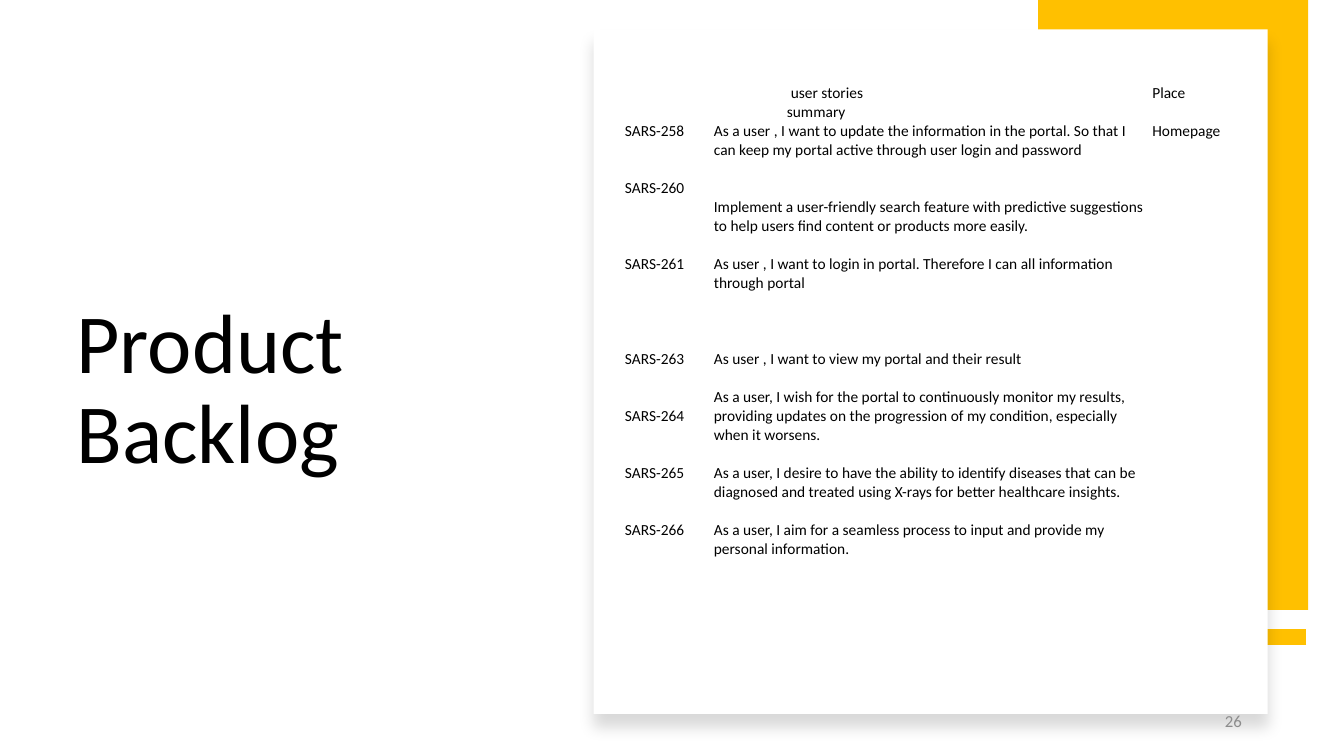
import pptx
import pptx.util
import pptx.oxml
import pptx.dml.color
import pptx.enum.shapes
import pptx.enum.text
from lxml import etree

Cm, Pt = pptx.util.Cm, pptx.util.Pt
ALIGN, ANCHOR = pptx.enum.text.PP_ALIGN, pptx.enum.text.MSO_ANCHOR
HUES = {"gold": "FFC000", "white": "FFFFFF", "black": "000000", "gray": "8C8C8C"}
NS = "http://schemas.openxmlformats.org/drawingml/2006/main"


def hue(name):
    return pptx.dml.color.RGBColor.from_string(HUES[name])


def style(para, size, name):
    para.font.name = "Calibri"
    para.font.size = Pt(size)
    para.font.color.rgb = hue(name)


deck = pptx.Presentation()
deck.slide_width, deck.slide_height = Cm(33.87), Cm(19.05)
slide = deck.slides.add_slide(deck.slide_layouts[6])
shapes = slide.shapes

# Gold line behind the card
line = shapes.add_connector(pptx.enum.shapes.MSO_CONNECTOR.STRAIGHT,
                            Cm(32.92), Cm(16.05), Cm(26.16), Cm(16.05))
line.line.color.rgb = hue("gold")
line.line.width = Pt(12)
etree.SubElement(line._element.spPr, f"{{{NS}}}effectLst")

# Gold panel and white card
for name, x, y, w, h in [("gold", 26.16, 0, 6.81, 15.37),
                         ("white", 14.96, 0.74, 16.99, 17.25)]:
    card = shapes.add_shape(pptx.enum.shapes.MSO_SHAPE.RECTANGLE,
                            Cm(x), Cm(y), Cm(w), Cm(h))
    card.shadow.inherit = False
    card.fill.solid()
    card.fill.fore_color.rgb = hue(name)
    card.line.fill.background()

# Soft shadow below the card
glow = card._element.spPr.find(f"{{{NS}}}effectLst")
glow.append(pptx.oxml.parse_xml(
    f'<a:outerShdw xmlns:a="{NS}" blurRad="{Pt(11)}" dist="{Pt(10)}" dir="5400000" '
    f'algn="t" rotWithShape="0"><a:srgbClr val="{HUES["black"]}">'
    '<a:alpha val="15000"/></a:srgbClr></a:outerShdw>'))

# Title and page number
for text, x, y, w, h, size, name, side, base in [
        ("Product Backlog", 1.68, 1.88, 11.58, 10.39, 60, "black", ALIGN.LEFT, ANCHOR.BOTTOM),
        ("26", 23.93, 17.65, 7.62, 1.02, 12, "gray", ALIGN.RIGHT, ANCHOR.MIDDLE)]:
    frame = shapes.add_textbox(Cm(x), Cm(y), Cm(w), Cm(h)).text_frame
    frame.word_wrap = True
    frame.vertical_anchor = base
    para = frame.paragraphs[0]
    para.text = text
    para.alignment = side
    para.line_spacing = 0.9 if size == 60 else 1.0
    style(para, size, name)

# Backlog columns: width, top margin, then (lines skipped, indent, text)
STEP = 13.6
cols = [
    (2.24, 1.16, [(0, 0, "SARS-258"), (2, 0, "SARS-260"), (3, 0, "SARS-261"),
                  (4, 0, "SARS-263"), (2, 0, "SARS-264"), (2, 0, "SARS-265"),
                  (2, 0, "SARS-266")]),
    (11.05, 0.2, [
        (0, 1.94, "user stories"),
        (0, 1.84, "summary"),
        (0, 0, "As a user , I want to update the information in the portal. So that I can "
               "keep my portal active through user login and password"),
        (2, 0, "Implement a user-friendly search feature with predictive suggestions to "
               "help users find content or products more easily."),
        (1, 0, "As user , I want to login in portal. Therefore I can all information "
               "through portal"),
        (3, 0, "As user , I want to view my portal and their result"),
        (1, 0, "As a user, I wish for the portal to continuously monitor my results, "
               "providing updates on the progression of my condition, especially when it "
               "worsens."),
        (1, 0, "As a user, I desire to have the ability to identify diseases that can be "
               "diagnosed and treated using X-rays for better healthcare insights."),
        (1, 0, "As a user, I aim for a seamless process to input and provide my personal "
               "information.")]),
    (2.31, 0.2, [(0, 0, "Place"), (1, 0, "Homepage")]),
]
table = shapes.add_table(1, len(cols), Cm(15.67), Cm(1.9), Cm(15.6), Cm(14.91)).table
table.first_row = table.horz_banding = False
for i, (width, top, items) in enumerate(cols):
    table.columns[i].width = Cm(width)
    cell = table.cell(0, i)
    cell.fill.background()
    cell.margin_left = cell.margin_right = Cm(0.08)
    cell.margin_top, cell.margin_bottom = Cm(top), Cm(0.03)
    frame = cell.text_frame
    for j, (skip, dent, text) in enumerate(items):
        para = frame.add_paragraph() if j else frame.paragraphs[0]
        para.text = text
        para.space_before = Pt(skip * STEP)
        if dent:
            para._p.get_or_add_pPr().set("marL", str(Cm(dent)))
        style(para, 11, "black")

deck.save("out.pptx")
